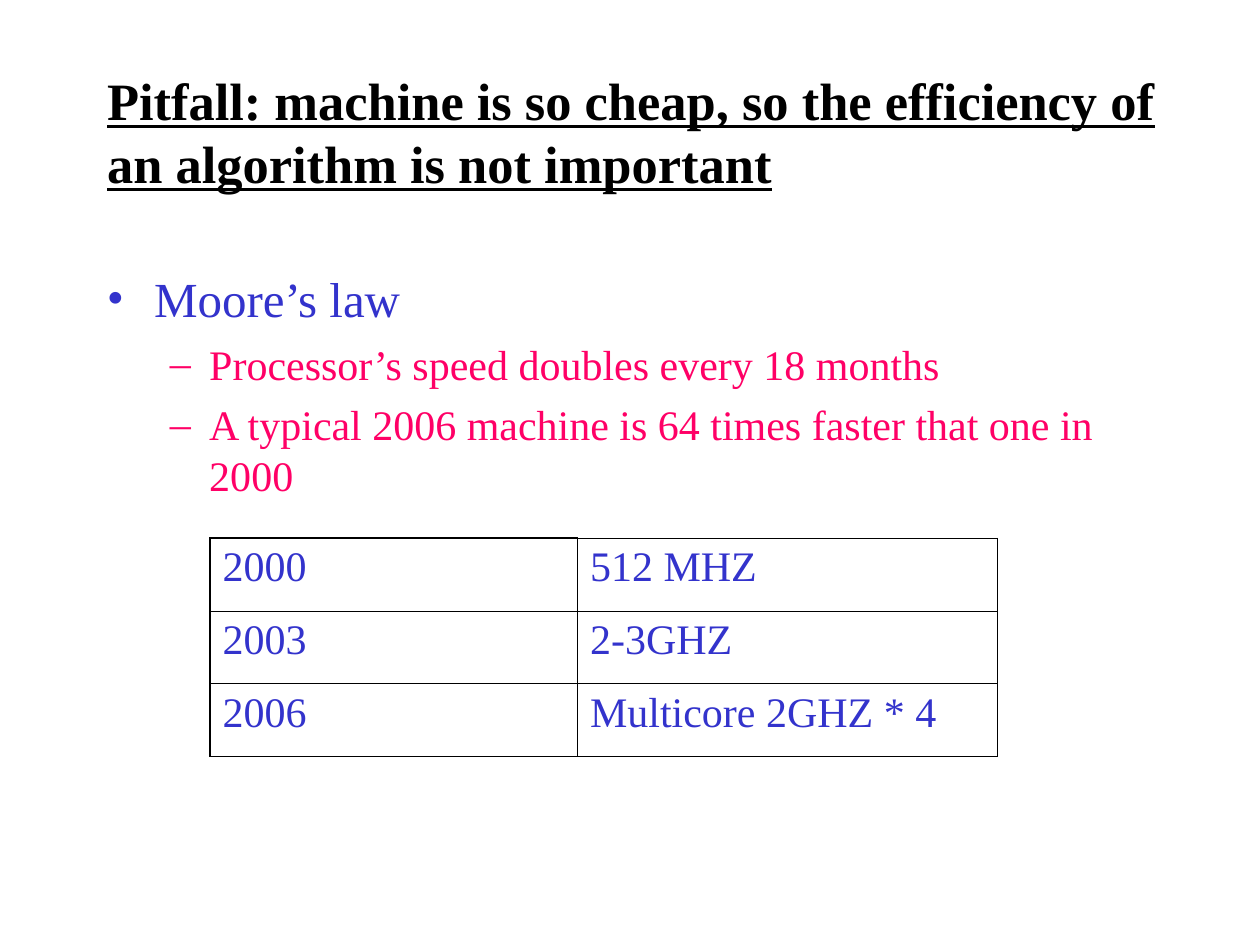
from dataclasses import dataclass

from lxml import etree
from pptx import Presentation
from pptx.dml.color import RGBColor
from pptx.enum.text import MSO_ANCHOR, MSO_AUTO_SIZE, PP_ALIGN
from pptx.oxml.ns import qn
from pptx.util import Pt

LEFT = PP_ALIGN.LEFT
MIDDLE = MSO_ANCHOR.MIDDLE
FIXED = MSO_AUTO_SIZE.NONE


@dataclass(frozen=True)
class Theme:
    """Colours, type sizes and line widths."""
    font: str = "Times New Roman"
    black: str = "000000"
    blue: str = "3333CC"
    pink: str = "FF0066"
    title: int = 30
    lead: int = 28
    text: int = 24
    thin: float = 0.45
    thick: float = 1.08


class Deck:
    """Holds the theme and the current slide."""

    def __init__(self, theme):
        """Start a deck with one title-only slide."""
        self.theme = theme
        self.file = Presentation()
        self.file.slide_width, self.file.slide_height = Pt(720), Pt(540)
        self.slide = self.file.slides.add_slide(self.file.slide_layouts[5])

    def style(self, para, size, color, bold=False, line=False):
        """Format the runs of a paragraph."""
        para.alignment = LEFT
        for run in para.runs:
            font = run.font
            font.name, font.size = self.theme.font, Pt(size)
            font.bold, font.underline = bold, line
            font.color.rgb = RGBColor.from_string(color)

    def title(self, text, left, top, width, height):
        """Fill and place the title."""
        shape = self.slide.shapes.title
        shape.left, shape.top = Pt(left), Pt(top)
        shape.width, shape.height = Pt(width), Pt(height)
        frame = shape.text_frame
        frame.text = text
        frame.word_wrap, frame.auto_size = True, FIXED
        frame.vertical_anchor = MIDDLE
        self.style(frame.paragraphs[0], self.theme.title, self.theme.black, True, True)

    def bullet(self, para, mark, color, left, hang):
        """Give a paragraph a coloured bullet and a hanging indent."""
        props = para._p.get_or_add_pPr()
        props.set("marL", str(Pt(left)))
        props.set("indent", str(-Pt(hang)))
        tint = etree.SubElement(props, qn("a:buClr"))
        etree.SubElement(tint, qn("a:srgbClr"), val=color)
        etree.SubElement(props, qn("a:buFont"), typeface=self.theme.font)
        etree.SubElement(props, qn("a:buChar"), char=mark)

    def body(self, items, left, top, width, height):
        """Add a list of (level, text) items."""
        look = self.theme
        levels = (("•", look.blue, look.lead, 27, 27),
                  ("–", look.pink, look.text, 58.5, 22.5))
        box = self.slide.shapes.add_textbox(Pt(left), Pt(top), Pt(width), Pt(height))
        frame = box.text_frame
        frame.word_wrap = True
        for index, (level, text) in enumerate(items):
            para = frame.add_paragraph() if index else frame.paragraphs[0]
            mark, color, size, indent, hang = levels[level]
            para.text = text
            para.level = level
            self.bullet(para, mark, color, indent, hang)
            if index:
                para.space_before = Pt(6)
            self.style(para, size, color)

    def border(self, cell, side, width):
        """Draw one side of a cell."""
        props = cell._tc.get_or_add_tcPr()
        line = etree.SubElement(props, qn(f"a:ln{side}"), w=str(Pt(width)))
        fill = etree.SubElement(line, qn("a:solidFill"))
        etree.SubElement(fill, qn("a:srgbClr"), val=self.theme.black)

    def table(self, rows, left, top, widths, height):
        """Add a plain table with a heavier frame."""
        look = self.theme
        last = len(rows) - 1, len(widths) - 1
        table = self.slide.shapes.add_table(
            len(rows), len(widths), Pt(left), Pt(top),
            Pt(sum(widths)), Pt(height * len(rows))).table
        table.first_row = table.horz_banding = False
        for col, width in zip(table.columns, widths):
            col.width = Pt(width)
        for y, row in enumerate(rows):
            table.rows[y].height = Pt(height)
            for x, text in enumerate(row):
                cell = table.cell(y, x)
                cell.text_frame.text = text
                self.style(cell.text_frame.paragraphs[0], look.text, look.blue)
                heavy = {"L": x == 0, "R": x == last[1],
                         "T": x == y == 0, "B": y == last[0]}
                for side, thick in heavy.items():
                    self.border(cell, side, look.thick if thick else look.thin)
                cell.fill.background()


def main():
    """Build the slide and save it."""
    deck = Deck(Theme())
    deck.title("Pitfall: machine is so cheap, so the efficiency of an algorithm "
               "is not important", 54, 24, 624, 102)
    deck.body([(0, "Moore’s law"),
               (1, "Processor’s speed doubles every 18 months"),
               (1, "A typical 2006 machine is 64 times faster that one in 2000")],
              54, 150, 612, 330)
    deck.table([("2000", "512 MHZ"), ("2003", "2-3GHZ"),
                ("2006", "Multicore 2GHZ * 4")], 120, 307.5, (210, 240), 41.6)
    deck.file.save("out.pptx")


if __name__ == "__main__":
    main()
